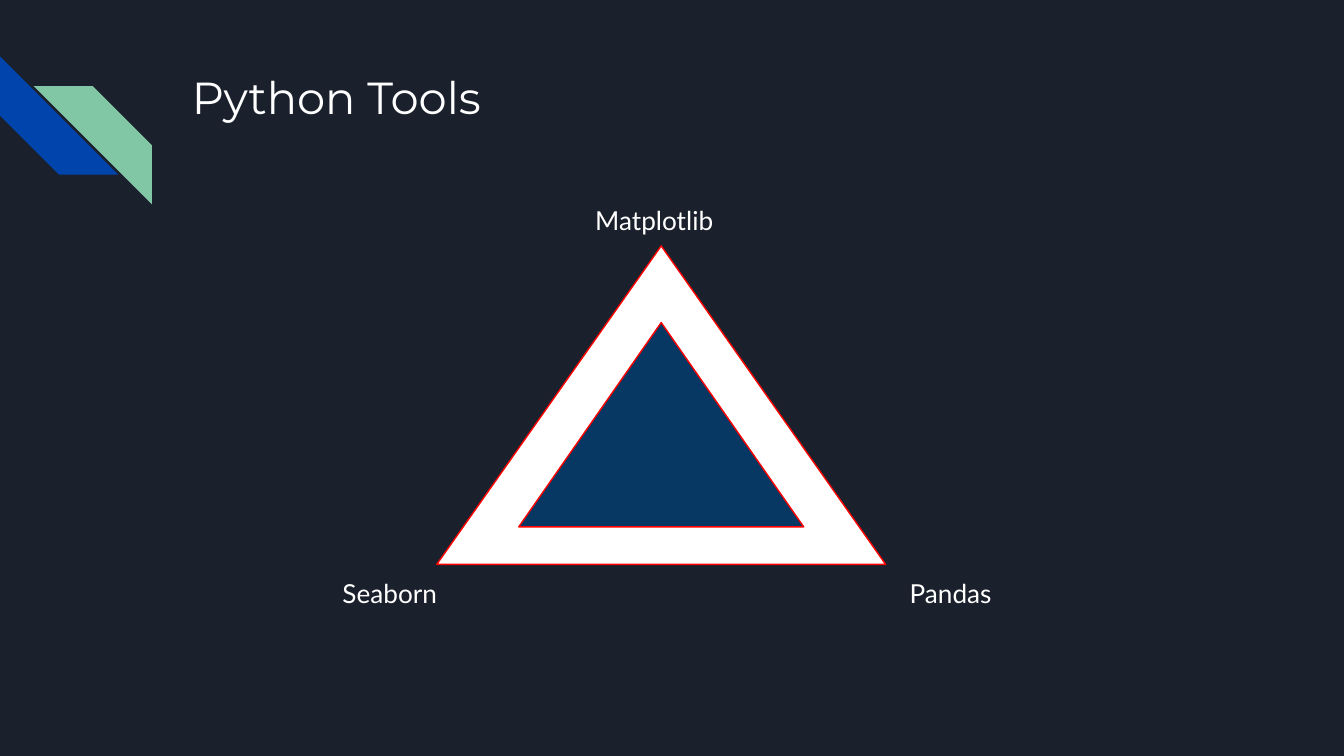
from dataclasses import dataclass

from pptx import Presentation
from pptx.dml.color import RGBColor
from pptx.enum.shapes import MSO_SHAPE
from pptx.enum.text import MSO_ANCHOR, MSO_AUTO_SIZE
from pptx.oxml.ns import qn
from pptx.util import Inches, Pt

PX = Inches(1) // 200  # 200 px to the inch


@dataclass(frozen=True)
class Theme:
    background: str = "1B212C"
    text: str = "FFFFFF"
    stripe_blue: str = "0145AC"
    stripe_green: str = "82C7A5"
    outer: str = "FFFFFF"
    inner: str = "073763"
    outline: str = "FF0000"
    outline_pt: float = 0.75
    title_font: str = "Montserrat"
    title_pt: int = 24
    label_font: str = "Lato"
    label_pt: int = 14


THEME = Theme()


def emu(*lengths):
    return [n * PX for n in lengths]


def add_filled(s, kind, box, fill, line=None):
    sp = s.shapes.add_shape(kind, *emu(*box))
    sp.shadow.inherit = False
    sp.fill.solid()
    sp.fill.fore_color.rgb = RGBColor.from_string(fill)
    if line:
        sp.line.color.rgb = RGBColor.from_string(line)
        sp.line.width = Pt(THEME.outline_pt)
    else:
        sp.line.fill.background()
    return sp


def add_text(s, box, text, font, size, auto_size=MSO_AUTO_SIZE.NONE):
    tf = s.shapes.add_textbox(*emu(*box)).text_frame
    tf.word_wrap = True
    tf.auto_size = auto_size
    tf.vertical_anchor = MSO_ANCHOR.TOP
    tf.margin_left = tf.margin_right = tf.margin_top = tf.margin_bottom = 20 * PX
    p = tf.paragraphs[0]
    p.text = text
    p.font.name = font
    p.font.size = Pt(size)
    p.font.color.rgb = RGBColor.from_string(THEME.text)


def add_corner_stripes(s, x, y, size):
    # Blue stripe, turned to run down from the left edge
    blue = add_filled(s, MSO_SHAPE.DIAGONAL_STRIPE, (x, y, size, size), THEME.stripe_blue)
    blue.rotation = 270
    # Green stripe, mirrored and shifted along the diagonal
    green = add_filled(s, MSO_SHAPE.DIAGONAL_STRIPE,
                       (x + 50, y + 44, size, size), THEME.stripe_green)
    green._element.spPr.find(qn("a:xfrm")).set("flipH", "1")


def add_title(s, x, y, w, h):
    add_text(s, (x, y, w, h), "Python Tools", THEME.title_font, THEME.title_pt)


def add_tool_triangle(s, x, y, w, h):
    # Outer triangle, with the inner one centred across it
    inner_w, inner_h = 424, 304
    inner_box = (x + (w - inner_w) // 2, y + 114, inner_w, inner_h)
    for box, fill in (((x, y, w, h), THEME.outer), (inner_box, THEME.inner)):
        add_filled(s, MSO_SHAPE.FLOWCHART_EXTRACT, box, fill, THEME.outline)

    # One label at each corner
    labels = (("Matplotlib", 216, -82), ("Seaborn", -160, h), ("Pandas", w + 16, h))
    for text, dx, dy in labels:
        add_text(s, (x + dx, y + dy, 780, 88), text, THEME.label_font,
                 THEME.label_pt, MSO_AUTO_SIZE.SHAPE_TO_FIT_TEXT)


def main():
    prs = Presentation()
    prs.slide_width, prs.slide_height = emu(2000, 1125)
    s = prs.slides.add_slide(prs.slide_layouts[6])
    s.background.fill.solid()
    s.background.fill.fore_color.rgb = RGBColor.from_string(THEME.background)

    add_corner_stripes(s, 0, 84, 176)
    add_title(s, 266, 84, 1540, 200)
    add_tool_triangle(s, 650, 366, 668, 474)

    prs.save("out.pptx")


if __name__ == "__main__":
    main()
